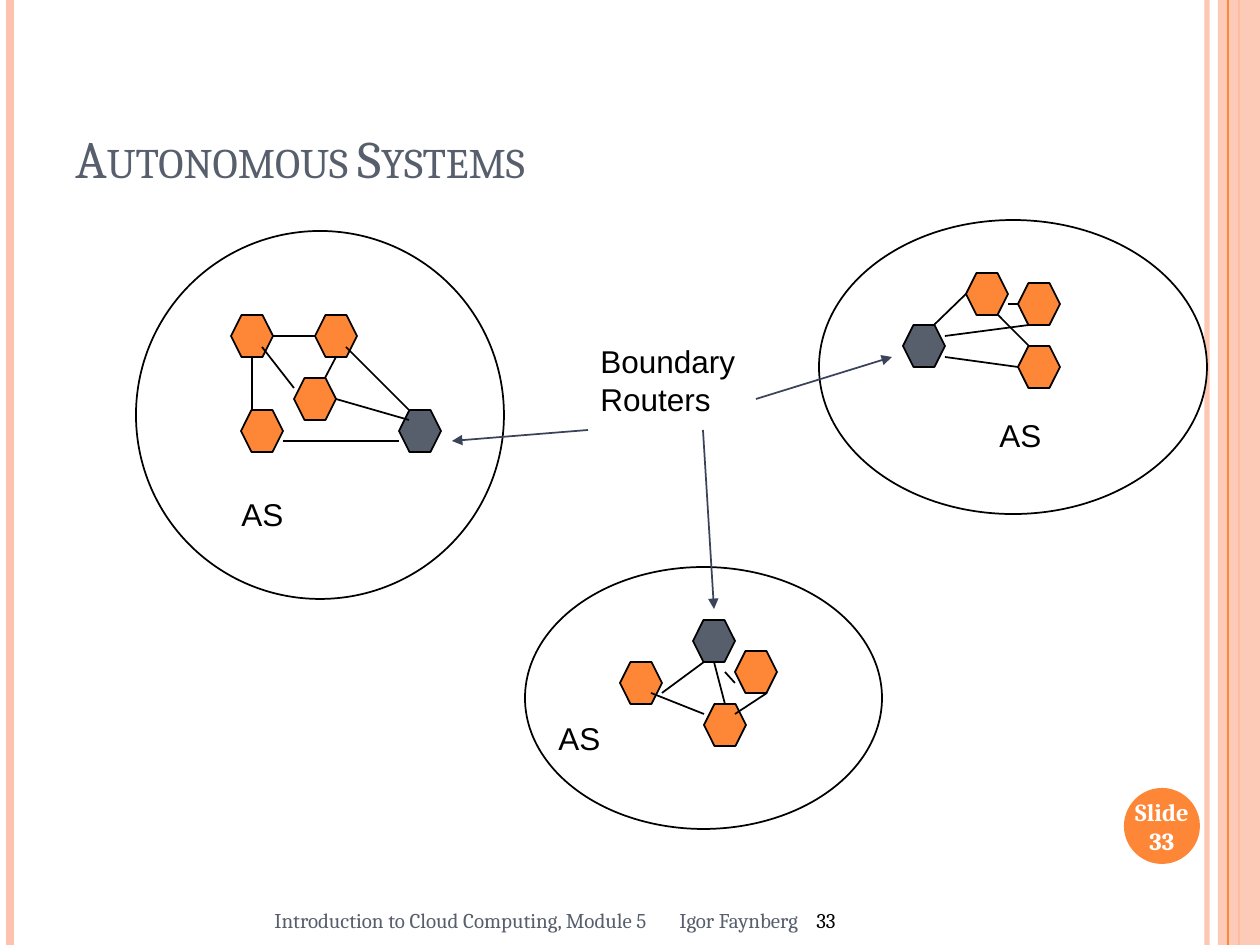
from lxml.etree import SubElement
from pptx import Presentation
from pptx.dml.color import RGBColor
from pptx.enum.shapes import MSO_CONNECTOR as Link, MSO_SHAPE as Kind
from pptx.enum.text import MSO_ANCHOR as Anchor, PP_ALIGN as Align
from pptx.oxml.ns import qn
from pptx.util import Emu, Pt

SCALE = 914400 // 126
ORANGE, SLATE, PEACH = "FE8637", "575F6D", "FEC3AE"
BLACK, WHITE, NAVY = "000000", "FFFFFF", "3B435B"
HEX = 42

# Box, routers (the boundary router first), links and label of each system
SYSTEMS = [
    ((819, 220, 388, 294),
     [(84, 105), (147, 53), (199, 126), (199, 63)],
     [(189, 84, 199, 84), (126, 137, 199, 147), (179, 95, 210, 126),
      (210, 105, 126, 116), (147, 74, 115, 105)],
     (168, 190)),
    ((525, 567, 357, 262),
     [(168, 53), (95, 95), (210, 84), (179, 137)],
     [(126, 126, 179, 147), (179, 95, 137, 126), (200, 105, 210, 116),
      (189, 95, 200, 137), (242, 126, 210, 147)],
     (21, 146)),
    ((136, 231, 368, 368),
     [(263, 179), (95, 84), (179, 84), (105, 179), (158, 147)],
     [(116, 126, 116, 179), (126, 116, 158, 157), (137, 105, 179, 105),
      (200, 126, 189, 147), (210, 116, 273, 179), (147, 210, 263, 210),
      (200, 168, 273, 189)],
     (93, 258)),
]
ARROWS = [(588, 430, 452, 441), (703, 430, 714, 609), (756, 399, 892, 357)]


def px(*vals):
    """Turn picture pixels into EMU."""
    return [Emu(round(v * SCALE)) for v in vals]


def rgb(code):
    """Turn a hex string into a colour."""
    return RGBColor.from_string(code)


def style(item, form):
    """Set attributes from a dict of format values."""
    for key, val in form.items():
        setattr(item, key, val)


def fade(fill, alpha):
    """Make a solid fill or line see-through; alpha is in percent."""
    SubElement(fill.find(".//" + qn("a:srgbClr")), qn("a:alpha"),
               val=str(alpha * 1000))


def shape(slide, kind, box, fill, edge=None):
    """Add a preset shape with a flat fill and an optional thin edge."""
    item = slide.shapes.add_shape(kind, *px(*box))
    item.shadow.inherit = False
    item.fill.solid()
    item.fill.fore_color.rgb = rgb(fill)
    if edge:
        item.line.color.rgb = rgb(edge)
        item.line.width = Pt(1)
    else:
        item.line.fill.background()
    return item


def line(slide, ends, color=BLACK, width=1, arrow=False):
    """Add a straight line, with an arrowhead at its end if asked."""
    item = slide.shapes.add_connector(Link.STRAIGHT, *px(*ends))
    item.line.color.rgb = rgb(color)
    item.line.width = Pt(width)
    props = item._element.spPr
    if arrow:
        SubElement(props.find(qn("a:ln")), qn("a:tailEnd"), type="triangle")
    SubElement(props, qn("a:effectLst"))
    return item


def text(slide, box, lines, size, color=BLACK, face="Arial", bold=False,
         align=Align.LEFT, anchor=Anchor.TOP):
    """Add a text box with one paragraph for each line."""
    frame = slide.shapes.add_textbox(*px(*box)).text_frame
    style(frame, {"word_wrap": True, "vertical_anchor": anchor})
    for num, words in enumerate(lines):
        para = frame.add_paragraph() if num else frame.paragraphs[0]
        para.alignment = align
        run = para.add_run()
        run.text = words
        style(run.font, {"size": Pt(size), "name": face, "bold": bold})
        run.font.color.rgb = rgb(color)
    return frame


def border(slide, box):
    """Draw the stripes along both sides of the slide."""
    left, top, wide, high = box

    def stripe(x, color, width):
        return line(slide, (left + x, top, left + x, top + high), color, width)

    fade(stripe(wide - 53, PEACH, 3)._element.spPr, 93)
    stripe(10, PEACH, 4.5)
    stripe(wide - 21, ORANGE, 1.5)
    band = shape(slide, Kind.RECTANGLE, (left + wide - 42, top, 42, high), PEACH)
    fade(band._element.spPr, 87)
    stripe(wide - 32, ORANGE, 0.75)


def badge(slide, box):
    """Draw the round slide number."""
    left, top, wide, high = box
    shape(slide, Kind.OVAL, box, ORANGE)
    text(slide, (left - 4, top + 2, wide + 8, high - 4), ["Slide 33"], 14, WHITE,
         "Cambria", True, Align.CENTER, Anchor.MIDDLE)


def footer(slide, box):
    """Write course, author and page, set apart by tab stops."""
    words = "Introduction to Cloud Computing, Module 5\tIgor Faynberg\t"
    frame = text(slide, box, [words], 12, SLATE, "Cambria", anchor=Anchor.MIDDLE)
    para = frame.paragraphs[0]
    page = para.add_run()
    page.text = "33"
    style(page.font, {"size": Pt(12), "name": "Cambria"})
    page.font.color.rgb = rgb(BLACK)
    tabs = SubElement(para._p.get_or_add_pPr(), qn("a:tabLst"))
    for stop in px(405, 542):
        SubElement(tabs, qn("a:tab"), pos=str(stop), algn="l")


def title(slide, box):
    """Write the heading in small capitals."""
    frame = text(slide, box, ["Autonomous Systems"], 30, SLATE, "Cambria",
                 anchor=Anchor.BOTTOM)
    frame.paragraphs[0].runs[0].font._element.set("cap", "small")


def system(slide, box, nodes, links, label):
    """Draw one autonomous system: its oval, routers, links and label."""
    left, top = box[:2]
    shape(slide, Kind.OVAL, box, WHITE, BLACK)
    for num, (x, y) in enumerate(nodes):
        node = shape(slide, Kind.HEXAGON, (left + x, top + y, HEX, HEX),
                     ORANGE if num else SLATE, BLACK)
        node.adjustments[0] = 0.25
    for x1, y1, x2, y2 in links:
        line(slide, (left + x1, top + y1, left + x2, top + y2))
    text(slide, (left + label[0], top + label[1], 82, 63), ["AS"], 18)


def callout(slide, box):
    """Name the boundary routers and point at each of them."""
    text(slide, box, ["Boundary", "Routers"], 18)
    left, top = box[:2]
    for x1, y1, x2, y2 in ARROWS:
        ends = (x1 - 588 + left, y1 - 336 + top, x2 - 588 + left, y2 - 336 + top)
        line(slide, ends, NAVY, arrow=True)


def main():
    """Build the slide and save it."""
    deck = Presentation()
    deck.slide_width, deck.slide_height = px(1260, 945)
    slide = deck.slides.add_slide(deck.slide_layouts[6])
    border(slide, (0, 0, 1260, 945))
    badge(slide, (1124, 788, 76, 76))
    footer(slide, (262, 895, 872, 50))
    title(slide, (63, 38, 1029, 157))
    for parts in SYSTEMS:
        system(slide, *parts)
    callout(slide, (588, 336, 210, 113))
    deck.save("out.pptx")


main()
